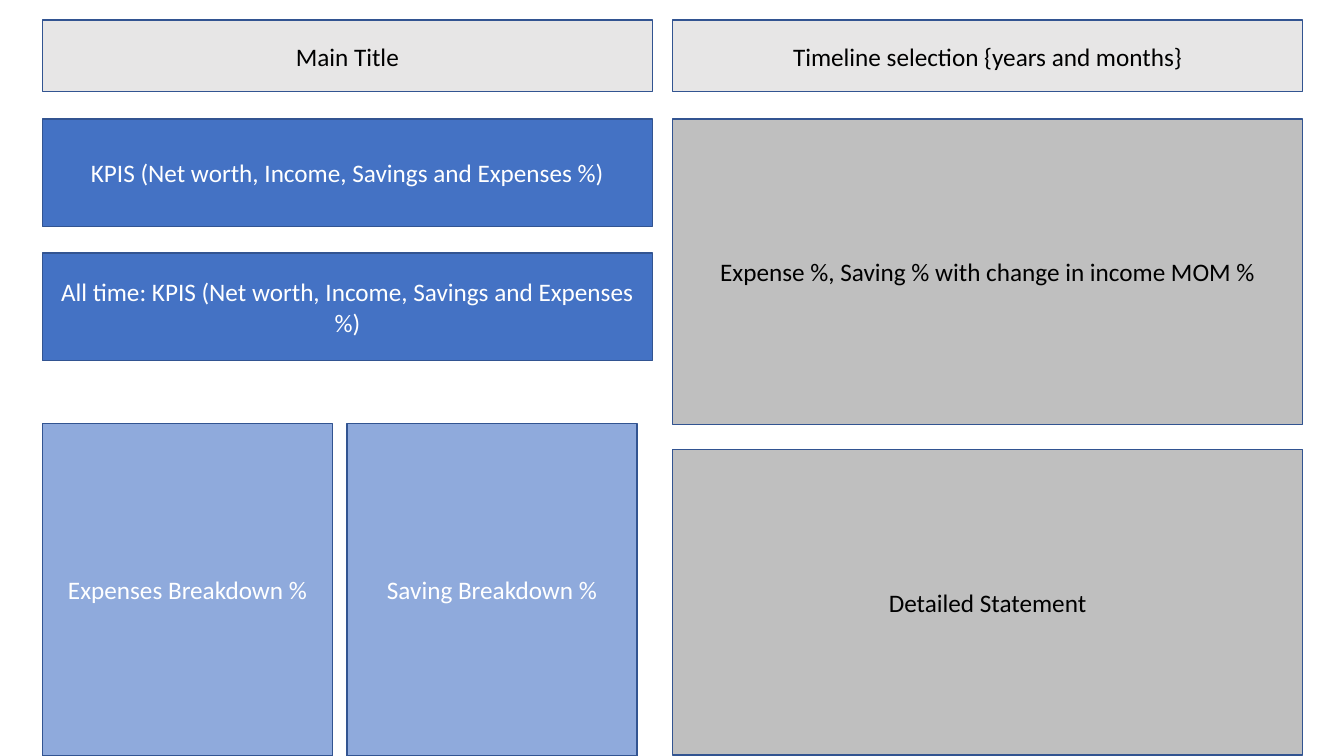
from dataclasses import dataclass

import pptx
import pptx.dml.color
import pptx.enum.shapes
import pptx.enum.text
import pptx.slide
import pptx.util
from pptx.util import Inches

BLACK = "000000"
WHITE = "FFFFFF"
BORDER = "325491"
HEADER_FILL = "E7E6E6"
KPI_FILL = "4472C4"
BREAKDOWN_FILL = "8FAADC"
DETAIL_FILL = "BFBFBF"

# Dashboard columns and rows, in inches
LEFT_COLUMN, LEFT_WIDTH = 0.42, 6.05
RIGHT_COLUMN, RIGHT_WIDTH = 6.67, 6.25
HEADER_TOP, HEADER_HEIGHT = 0.2, 0.71
CONTENT_TOP = 1.18
KPI_HEIGHT, KPI_STEP = 1.07, 1.33
DETAIL_HEIGHT, DETAIL_STEP = 3.03, 3.28
BREAKDOWN_TOP, BREAKDOWN_HEIGHT = 4.2, 3.3
BREAKDOWN_WIDTH, BREAKDOWN_STEP = 2.88, 3.02


@dataclass(frozen=True)
class Panel:
    text: str
    left: float
    top: float
    width: float
    height: float
    fill: str
    text_color: str


def rgb(color: str) -> pptx.dml.color.RGBColor:
    return pptx.dml.color.RGBColor.from_string(color)


def draw_panel(slide: pptx.slide.Slide, panel: Panel) -> None:
    shape = slide.shapes.add_shape(
        pptx.enum.shapes.MSO_SHAPE.RECTANGLE,
        Inches(panel.left), Inches(panel.top),
        Inches(panel.width), Inches(panel.height),
    )
    shape.shadow.inherit = False
    shape.fill.solid()
    shape.fill.fore_color.rgb = rgb(panel.fill)
    shape.line.color.rgb = rgb(BORDER)
    shape.line.width = pptx.util.Pt(1)

    text_frame = shape.text_frame
    text_frame.word_wrap = True
    text_frame.vertical_anchor = pptx.enum.text.MSO_ANCHOR.MIDDLE
    paragraph = text_frame.paragraphs[0]
    paragraph.text = panel.text
    paragraph.alignment = pptx.enum.text.PP_ALIGN.CENTER
    paragraph.font.name = "Calibri"
    paragraph.font.size = pptx.util.Pt(18)
    paragraph.font.color.rgb = rgb(panel.text_color)


# Header row
panels = [
    Panel("Main Title", LEFT_COLUMN, HEADER_TOP, LEFT_WIDTH, HEADER_HEIGHT,
          HEADER_FILL, BLACK),
    Panel("Timeline selection {years and months}", RIGHT_COLUMN, HEADER_TOP,
          RIGHT_WIDTH, HEADER_HEIGHT, HEADER_FILL, BLACK),
]

# KPI bands, stacked on the left
kpi_labels = [
    "KPIS (Net worth, Income, Savings and Expenses %)",
    "All time: KPIS (Net worth, Income, Savings and Expenses %)",
]
panels += [
    Panel(label, LEFT_COLUMN, CONTENT_TOP + row * KPI_STEP, LEFT_WIDTH,
          KPI_HEIGHT, KPI_FILL, WHITE)
    for row, label in enumerate(kpi_labels)
]

# Breakdown panels, side by side below the KPIs
panels += [
    Panel(label, LEFT_COLUMN + column * BREAKDOWN_STEP, BREAKDOWN_TOP,
          BREAKDOWN_WIDTH, BREAKDOWN_HEIGHT, BREAKDOWN_FILL, WHITE)
    for column, label in enumerate(["Expenses Breakdown %", "Saving Breakdown %"])
]

# Detail panels, stacked on the right
detail_labels = [
    "Expense %, Saving % with change in income MOM %",
    "Detailed Statement",
]
panels += [
    Panel(label, RIGHT_COLUMN, CONTENT_TOP + row * DETAIL_STEP, RIGHT_WIDTH,
          DETAIL_HEIGHT, DETAIL_FILL, BLACK)
    for row, label in enumerate(detail_labels)
]

presentation = pptx.Presentation()
presentation.slide_width = Inches(13.33)
presentation.slide_height = Inches(7.5)
slide = presentation.slides.add_slide(presentation.slide_layouts[6])
for panel in panels:
    draw_panel(slide, panel)
presentation.save("out.pptx")
